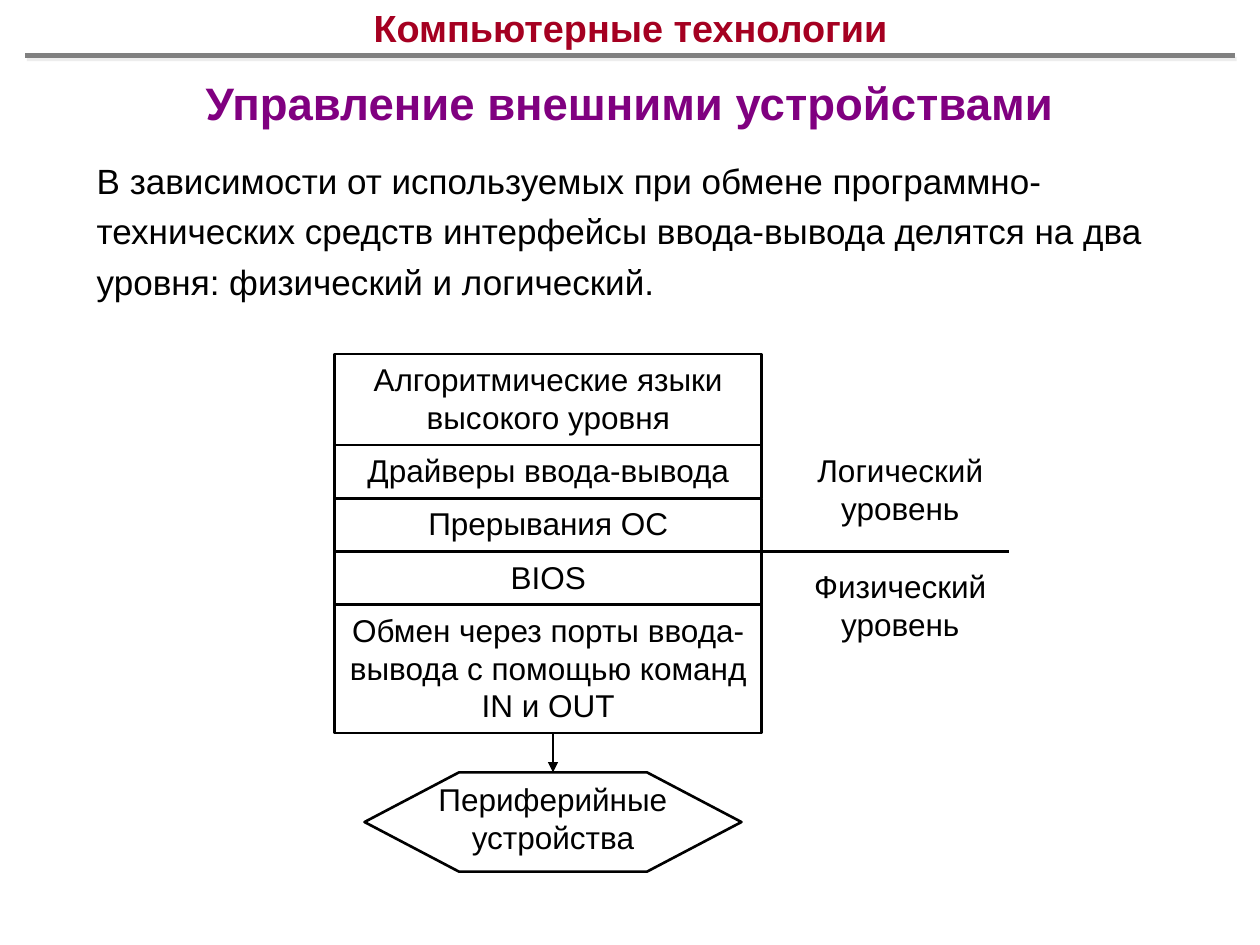
from dataclasses import dataclass

import lxml.etree
import pptx
import pptx.dml.color
import pptx.enum.shapes
import pptx.enum.text
import pptx.oxml.ns
import pptx.util

Pt = pptx.util.Pt
ALIGN = pptx.enum.text.PP_ALIGN
ANCHOR = pptx.enum.text.MSO_ANCHOR
SHAPE = pptx.enum.shapes.MSO_SHAPE
qn = pptx.oxml.ns.qn

COLORS = {"text": "000000", "course": "A50021", "heading": "800080", "rule": "808080", "shadow": "DDDDDD"}


@dataclass
class Style:
    size: float = 18
    color: str = "text"
    bold: bool = False
    align: ALIGN = ALIGN.CENTER
    anchor: ANCHOR = ANCHOR.TOP
    line_spacing: float = 1.0


@dataclass
class Label:
    text: str
    left: float
    top: float
    width: float
    height: float
    style: Style


@dataclass
class Layer:
    text: str
    height: float


def rgb(name: str) -> pptx.dml.color.RGBColor:
    return pptx.dml.color.RGBColor.from_string(COLORS[name])


def write(shape, text: str, style: Style) -> None:
    frame = shape.text_frame
    frame.word_wrap = True
    frame.vertical_anchor = style.anchor
    paragraph = frame.paragraphs[0]
    paragraph.text = text
    paragraph.alignment = style.align
    paragraph.line_spacing = style.line_spacing
    paragraph.font.name = "Arial"
    paragraph.font.size = Pt(style.size)
    paragraph.font.bold = style.bold
    paragraph.font.color.rgb = rgb(style.color)


def add_label(shapes, label: Label) -> None:
    box = shapes.add_textbox(Pt(label.left), Pt(label.top), Pt(label.width), Pt(label.height))
    write(box, label.text, label.style)


def add_outline(shapes, kind: SHAPE, left: float, top: float, width: float, height: float):
    shape = shapes.add_shape(kind, Pt(left), Pt(top), Pt(width), Pt(height))
    shape.shadow.inherit = False
    shape.fill.background()
    shape.line.color.rgb = rgb("text")
    shape.line.width = Pt(1.5)
    return shape


def add_line(shapes, start: tuple[float, float], end: tuple[float, float],
             color: str = "text", width: float = 1.5, arrow: bool = False):
    line = shapes.add_connector(pptx.enum.shapes.MSO_CONNECTOR.STRAIGHT,
                                Pt(start[0]), Pt(start[1]), Pt(end[0]), Pt(end[1]))
    line.line.color.rgb = rgb(color)
    line.line.width = Pt(width)
    if arrow:
        lxml.etree.SubElement(line.line._get_or_add_ln(), qn("a:tailEnd"), type="triangle")
    lxml.etree.SubElement(line._element.spPr, qn("a:effectLst"))
    return line


def add_shadow(line) -> None:
    effects = line._element.spPr.find(qn("a:effectLst"))
    shadow = lxml.etree.SubElement(effects, qn("a:outerShdw"), blurRad="0", dist=str(Pt(2.2)),
                                   dir=str(63 * 60000), algn="ctr", rotWithShape="0")
    color = lxml.etree.SubElement(shadow, qn("a:srgbClr"), val=COLORS["shadow"])
    lxml.etree.SubElement(color, qn("a:alpha"), val="50000")


def add_header(shapes) -> None:
    heading = Style(26, "heading", True, anchor=ANCHOR.MIDDLE)
    course = Style(21.6, "course", True, anchor=ANCHOR.MIDDLE)
    body = Style(20, align=ALIGN.LEFT, line_spacing=1.2)
    add_label(shapes, Label("Управление внешними устройствами", 0, 43.2, 720, 30.24, heading))
    add_shadow(add_line(shapes, (14.4, 31.8), (705.6, 31.8), "rule", 2.5))
    add_label(shapes, Label("Компьютерные технологии", 14.4, 0, 691.9, 31.8, course))
    add_label(shapes, Label(
        "В зависимости от используемых при обмене программно-технических средств "
        "интерфейсы ввода-вывода делятся на два уровня: физический и логический.",
        48.2, 82.8, 658, 102.2, body))


def add_diagram(shapes) -> None:
    left, top, width = 191.3, 202.3, 244
    right, center = left + width, 316
    layers = [
        Layer("Алгоритмические языки высокого уровня", 52),
        Layer("Драйверы ввода-вывода", 30.4),
        Layer("Прерывания ОС", 30.4),
        Layer("BIOS", 30.4),
        Layer("Обмен через порты ввода-вывода с помощью команд IN и OUT", 73.4),
    ]
    boundary = top + sum(layer.height for layer in layers[:3])
    for layer in layers:
        box = add_outline(shapes, SHAPE.RECTANGLE, left, top, width, layer.height)
        write(box, layer.text, Style())
        top += layer.height

    device_top, device_width = 441.4, 215.4
    add_line(shapes, (center, top), (center, device_top), arrow=True)
    device = add_outline(shapes, SHAPE.HEXAGON, center - device_width / 2, device_top, device_width, 56.7)
    device.adjustments[0] = 0.951
    add_line(shapes, (right, boundary), (576.7, boundary))
    for label in (
        Label("Периферийные\nустройства", center - 79.2, 442.1, 158.4, 50.4, Style()),
        Label("Логический уровень", right, 254.3, 158.4, 50.4, Style()),
        Label("Физический уровень", right, 320.4, 158.4, 50.4, Style()),
    ):
        add_label(shapes, label)


def main() -> None:
    """Build the slide on the levels of input-output interfaces."""
    presentation = pptx.Presentation()
    presentation.slide_width, presentation.slide_height = Pt(720), Pt(540)
    slide = presentation.slides.add_slide(presentation.slide_layouts[6])
    add_header(slide.shapes)
    add_diagram(slide.shapes.add_group_shape().shapes)
    presentation.save("out.pptx")


if __name__ == "__main__":
    main()
